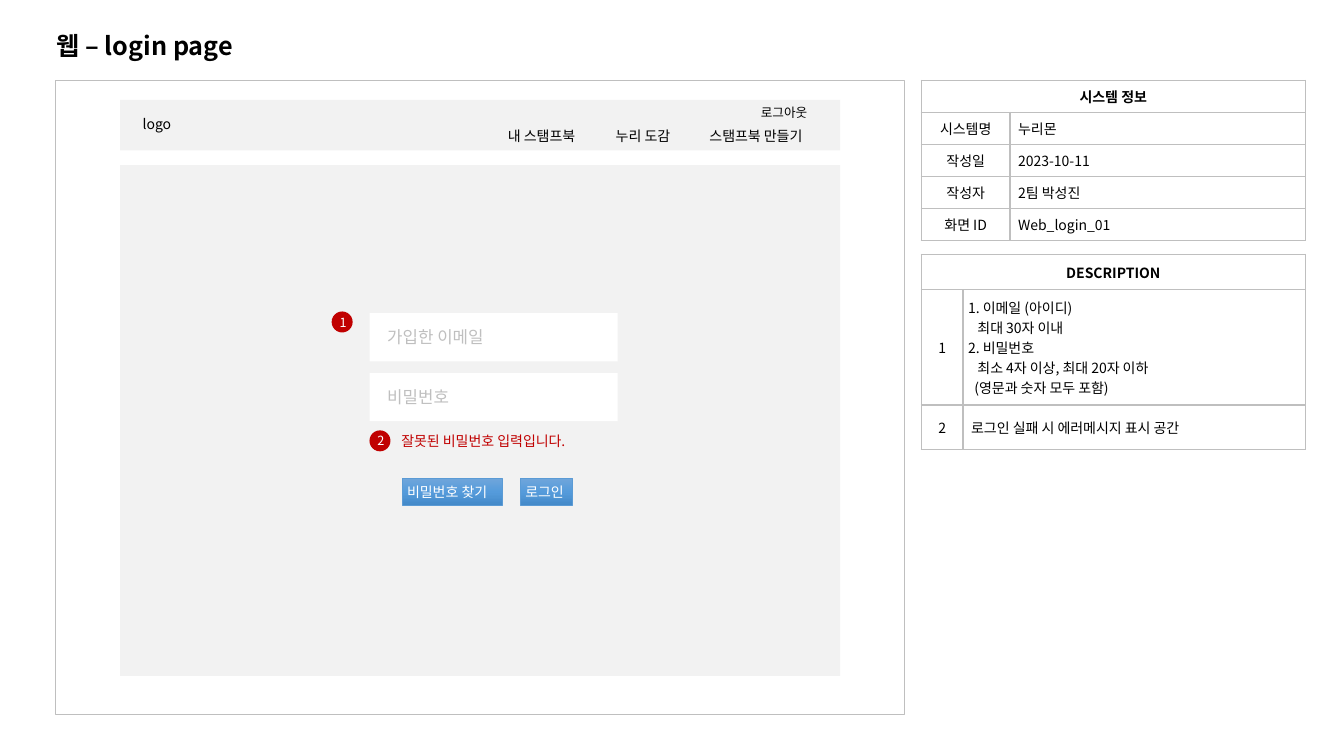
"""Build the wireframe slide for the web login page."""
from copy import deepcopy

from lxml.etree import SubElement
from pptx import Presentation
from pptx.dml.color import RGBColor
from pptx.enum.shapes import MSO_SHAPE
from pptx.enum.text import MSO_ANCHOR, MSO_AUTO_SIZE, PP_ALIGN
from pptx.oxml.ns import qn
from pptx.util import Pt

FONT = "Noto Sans CJK KR"
BLACK = RGBColor(0x00, 0x00, 0x00)
WHITE = RGBColor(0xFF, 0xFF, 0xFF)
PANEL = RGBColor(0xF2, 0xF2, 0xF2)
GREY = RGBColor(0xBF, 0xBF, 0xBF)
RED = RGBColor(0xC0, 0x00, 0x00)
BLUE = RGBColor(0x5B, 0x9B, 0xD5)
BUTTON_STOPS = [
    (0, RGBColor(0x70, 0xA6, 0xDB)),
    (0.5, RGBColor(0x55, 0x9B, 0xDB)),
    (1, RGBColor(0x44, 0x8A, 0xC9)),
]

TITLE = "웹 – login page"
TITLE_BOX = (36.7, 18, 140.4, 28.8)
FRAME = (39.5, 57.4, 606.5, 453)
PANELS = [(85.9, 71.4, 514.2, 36), (85.9, 117.9, 514.2, 365)]
MENU = [
    ("logo", 94.8, 79.2, 35.3, 10),
    ("내 스탬프북", 355.7, 87.3, 68.4, 10),
    ("누리 도감", 432.7, 87.5, 58.3, 10),
    ("스탬프북 만들기", 499.7, 87.3, 88.6, 10),
    ("로그아웃", 536.4, 71.3, 51.1, 9),
]
FIELDS = [("가입한 이메일", 78.5), ("비밀번호", 52.6)]
FIELD_X, FIELD_Y, FIELD_W, FIELD_H, FIELD_STEP = 264, 223.7, 177.2, 34.4, 42.8
ERROR = "잘못된 비밀번호 입력입니다."
ERROR_BOX = (283, 305.3, 137.5, 19.4)
BUTTONS = [("비밀번호 찾기", 287.2, 71.6), ("로그인", 371.6, 37.4)]
BUTTON_Y, BUTTON_H = 341.5, 19.4
MARKERS = [("1", 236.9, 222.5), ("2", 263.9, 307.4)]
MARKER_SIZE = 15

TABLE_X = 658.1
INFO_HEAD = "시스템 정보"
INFO = [
    ("시스템명", [("누리몬", 0)]),
    ("작성일", [("2023-10-11", 0)]),
    ("작성자", [("2팀 박성진", 0)]),
    ("화면 ID", [("Web_login_01", 0)]),
]
NOTES_HEAD = "DESCRIPTION"
NOTES = [
    ("1", [
        ("1. 이메일 (아이디)", 0),
        ("최대 30자 이내", 6.7),
        ("2. 비밀번호", 0),
        ("최소 4자 이상, 최대 20자 이하", 6.7),
        ("(영문과 숫자 모두 포함)", 4.5),
    ]),
    ("2", [("로그인 실패 시 에러메시지 표시 공간", 0)]),
]


def add_run(p, text, size, color, bold=False):
    r = p.add_run()
    r.text = text
    r.font.name = FONT
    r.font.size = Pt(size)
    r.font.bold = bold
    r.font.color.rgb = color
    SubElement(r.font._element, qn("a:ea")).set("typeface", FONT)


def set_margins(obj, side, top=3.6):
    obj.margin_left = obj.margin_right = Pt(side)
    obj.margin_top = obj.margin_bottom = Pt(top)


def write_line(s, text, size, color, side=3.6, bold=False):
    tf = s.text_frame
    tf.word_wrap = False
    tf.auto_size = MSO_AUTO_SIZE.SHAPE_TO_FIT_TEXT
    tf.vertical_anchor = MSO_ANCHOR.TOP
    set_margins(tf, side)
    p = tf.paragraphs[0]
    p.alignment = PP_ALIGN.LEFT
    add_run(p, text, size, color, bold)


def add_label(slide, box, *style):
    write_line(slide.shapes.add_textbox(*map(Pt, box)), *style)


def add_block(slide, box, fill=None, line=None, width=1, kind=MSO_SHAPE.RECTANGLE):
    s = slide.shapes.add_shape(kind, *map(Pt, box))
    s.shadow.inherit = False
    if fill is None:
        s.fill.background()
    else:
        s.fill.solid()
        s.fill.fore_color.rgb = fill
    if line is None:
        s.line.fill.background()
    else:
        s.line.color.rgb = line
        s.line.width = Pt(width)
    return s


def add_button(slide, text, x, w):
    s = add_block(slide, (x, BUTTON_Y, w, BUTTON_H), line=BLUE, width=0.5)
    s.fill.gradient()
    s.fill.gradient_angle = 270
    stops = s._element.spPr.find(".//" + qn("a:gsLst"))
    stops.append(deepcopy(stops[0]))
    for stop, (position, color) in zip(s.fill.gradient_stops, BUTTON_STOPS):
        stop.position = position
        stop.color.rgb = color
    write_line(s, text, 10, WHITE)


def add_marker(slide, text, x, y):
    s = add_block(slide, (x, y, MARKER_SIZE, MARKER_SIZE), RED, kind=MSO_SHAPE.OVAL)
    tf = s.text_frame
    set_margins(tf, 7.2)
    tf.vertical_anchor = MSO_ANCHOR.MIDDLE
    tf.paragraphs[0].alignment = PP_ALIGN.CENTER
    add_run(tf.paragraphs[0], text, 9, WHITE)


def style_cell(cell):
    tc_pr = cell._tc.get_or_add_tcPr()
    for side in ("lnL", "lnR", "lnT", "lnB"):
        ln = SubElement(tc_pr, qn("a:" + side), w=str(Pt(1)))
        fill = SubElement(ln, qn("a:solidFill"))
        SubElement(fill, qn("a:srgbClr"), val=str(GREY))
    cell.fill.background()
    cell.vertical_anchor = MSO_ANCHOR.MIDDLE
    set_margins(cell, 3.6)


def fill_cell(cell, lines, align, bold=False):
    tf = cell.text_frame
    for i, (text, indent) in enumerate(lines):
        p = tf.add_paragraph() if i else tf.paragraphs[0]
        p.alignment = align
        if indent:
            p._p.get_or_add_pPr().set("marL", str(Pt(indent)))
        add_run(p, text, 10, BLACK, bold)


def add_info_table(slide, y, widths, heights, head, rows):
    box = (TABLE_X, y, sum(widths), sum(heights))
    table = slide.shapes.add_table(len(heights), 2, *map(Pt, box)).table
    table.first_row = table.horz_banding = False
    for col, width in zip(table.columns, widths):
        col.width = Pt(width)
    for row, height in zip(table.rows, heights):
        row.height = Pt(height)
        for cell in row.cells:
            style_cell(cell)
    table.cell(0, 0).merge(table.cell(0, 1))
    fill_cell(table.cell(0, 0), [(head, 0)], PP_ALIGN.CENTER, True)
    for i, (key, lines) in enumerate(rows, 1):
        fill_cell(table.cell(i, 0), [(key, 0)], PP_ALIGN.CENTER)
        fill_cell(table.cell(i, 1), lines, PP_ALIGN.LEFT)
        if len(lines) == 1:
            table.cell(i, 1).margin_left = Pt(5.8)


def main():
    prs = Presentation()
    prs.slide_width, prs.slide_height = Pt(960), Pt(540)
    slide = prs.slides.add_slide(prs.slide_layouts[5])
    title = slide.shapes.title
    title.left, title.top, title.width, title.height = map(Pt, TITLE_BOX)
    write_line(title, TITLE, 18, BLACK, 3.6, True)

    add_block(slide, FRAME, line=GREY)
    for box in PANELS:
        add_block(slide, box, PANEL)
    for text, x, y, w, size in MENU:
        add_label(slide, (x, y, w, size * 1.94), text, size, BLACK, 7.2)
    for i, (text, w) in enumerate(FIELDS):
        y = FIELD_Y + i * FIELD_STEP
        add_block(slide, (FIELD_X, y, FIELD_W, FIELD_H), WHITE)
        add_label(slide, (FIELD_X + 9, y + 6.2, w, 21.8), text, 12, GREY)
    add_label(slide, ERROR_BOX, ERROR, 10, RED)
    for button in BUTTONS:
        add_button(slide, *button)
    for marker in MARKERS:
        add_marker(slide, *marker)
    add_info_table(slide, 57.4, (63.4, 210.8), [22.9] * 5, INFO_HEAD, INFO)
    add_info_table(slide, 181.8, (29.8, 244.4), (25.2, 82.3, 31.5), NOTES_HEAD, NOTES)
    prs.save("out.pptx")


if __name__ == "__main__":
    main()
